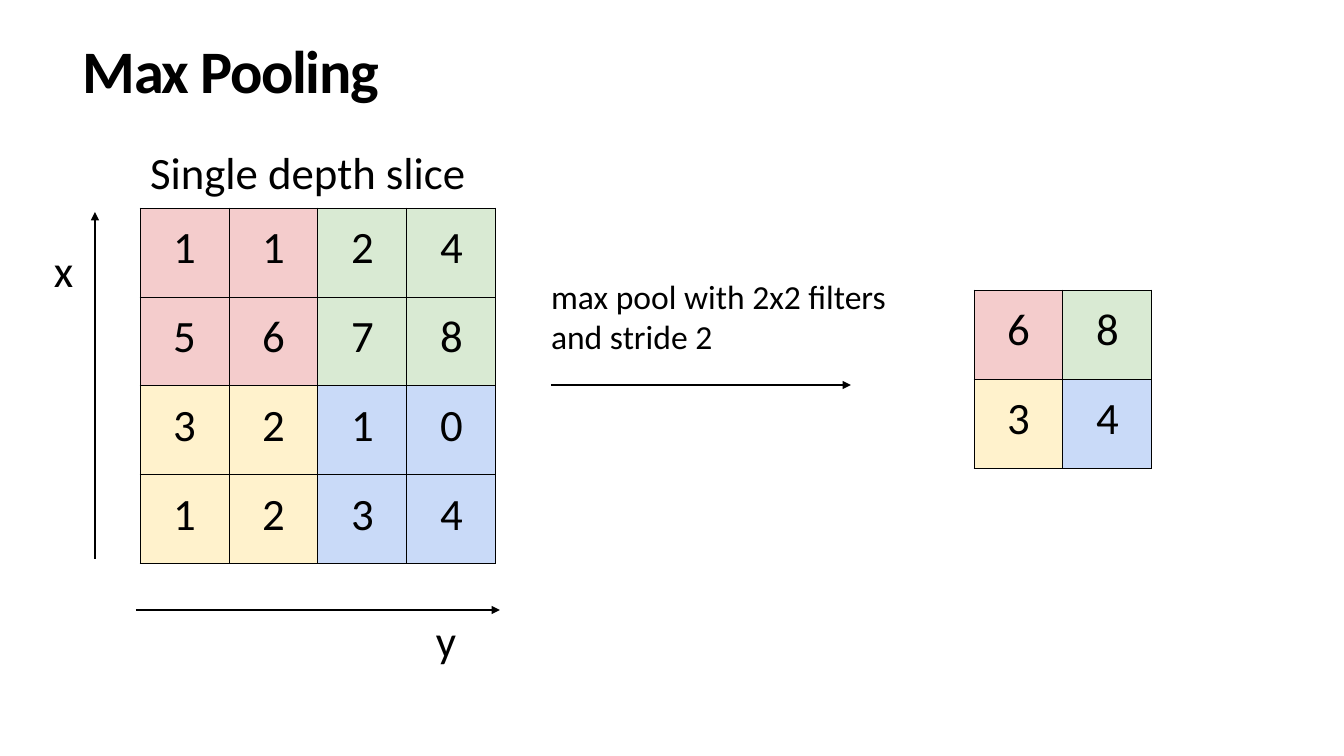
from dataclasses import dataclass

from lxml import etree
from pptx import Presentation, util as u
from pptx.dml.color import RGBColor
from pptx.enum import shapes, text
from pptx.oxml import parse_xml
from pptx.oxml.ns import nsdecls, qn


@dataclass(frozen=True)
class Theme:
    font: str = "Calibri"
    ink: str = "000000"
    quadrants: tuple = (("F4CCCC", "D9EAD3"), ("FFF2CC", "C9DAF8"))
    title_size: float = 43.1
    body_size: int = 32
    note_size: int = 24
    arrow_width: float = 1.5
    border_width: float = 0.75
    inset: int = 13
    cell: int = 89


def px(count):
    return u.Emu(round(count * 914400 / 100.8))


class PoolingSlide:
    def __init__(self, deck, theme):
        self.theme = theme
        self.slide = deck.slides.add_slide(deck.slide_layouts[6])

    def add_words(self, paragraph, words, size, bold=False):
        run = paragraph.add_run()
        run.text = words
        run.font.name = self.theme.font
        run.font.size = u.Pt(size)
        run.font.bold = bold
        run.font.color.rgb = RGBColor.from_string(self.theme.ink)
        return run

    def text_box(self, left, top, width, height):
        frame = self.slide.shapes.add_textbox(*map(px, (left, top, width, height))).text_frame
        frame.word_wrap = True
        return frame

    def title(self, words, left, top, width, height):
        heading = self.text_box(left, top, width, height).paragraphs[0]
        heading.line_spacing = 0.9
        run = self.add_words(heading, words, self.theme.title_size, bold=True)
        run._r.get_or_add_rPr().set("spc", "-100")

    def pad(self, holder):
        """Give a text frame or a table cell the same inset on all sides."""
        inset = px(self.theme.inset)
        holder.margin_left = holder.margin_right = inset
        holder.margin_top = holder.margin_bottom = inset

    def label(self, words, left, top, width, height, size=None):
        frame = self.text_box(left, top, width, height)
        self.pad(frame)
        self.add_words(frame.paragraphs[0], words, size or self.theme.body_size)

    def arrow(self, x1, y1, x2, y2):
        shaft = self.slide.shapes.add_connector(
            shapes.MSO_CONNECTOR.STRAIGHT, *map(px, (x1, y1, x2, y2)))
        shaft.line.color.rgb = RGBColor.from_string(self.theme.ink)
        shaft.line.width = u.Pt(self.theme.arrow_width)
        properties = shaft._element.spPr
        etree.SubElement(properties.find(qn("a:ln")), qn("a:tailEnd"), type="triangle")
        etree.SubElement(properties, qn("a:effectLst"))

    def border(self, cell):
        for side in ("lnL", "lnR", "lnT", "lnB"):
            cell._tc.get_or_add_tcPr().append(parse_xml(
                f'<a:{side} {nsdecls("a")} w="{int(u.Pt(self.theme.border_width))}">'
                f'<a:solidFill><a:srgbClr val="{self.theme.ink}"/></a:solidFill></a:{side}>'))

    def matrix(self, values, left, top):
        """Draw a square matrix whose four quadrants have their own colours."""
        count = len(values)
        side = px(count * self.theme.cell)
        grid = self.slide.shapes.add_table(count, count, px(left), px(top), side, side).table
        grid.first_row = grid.horz_banding = False
        for r, row in enumerate(values):
            grid.rows[r].height = grid.columns[r].width = px(self.theme.cell)
            for c, value in enumerate(row):
                cell = grid.cell(r, c)
                self.pad(cell)
                self.border(cell)
                cell.fill.solid()
                colour = self.theme.quadrants[2 * r // count][2 * c // count]
                cell.fill.fore_color.rgb = RGBColor.from_string(colour)
                paragraph = cell.text_frame.paragraphs[0]
                paragraph.alignment = text.PP_ALIGN.CENTER
                self.add_words(paragraph, str(value), self.theme.body_size)


def max_pool(values, stride=2):
    steps = range(0, len(values), stride)
    return [[max(max(row[c:c + stride]) for row in values[r:r + stride])
             for c in steps] for r in steps]


def main():
    deck = Presentation()
    deck.slide_width, deck.slide_height = px(1344), px(756)
    theme = Theme()
    page = PoolingSlide(deck, theme)
    depth_slice = [[1, 1, 2, 4], [5, 6, 7, 8], [3, 2, 1, 0], [1, 2, 3, 4]]

    page.title("Max Pooling", 73, 36, 1260, 99)
    page.matrix(depth_slice, 140, 208)
    page.label("Single depth slice", 137, 132, 385, 83)
    page.arrow(95, 559, 95, 212)
    page.label("x", 41, 230, 57, 69)
    page.arrow(136, 610, 500, 610)
    page.label("y", 423, 600, 57, 53)
    page.arrow(551, 385, 851, 385)
    page.label("max pool with 2x2 filters and stride 2", 538, 263, 393, 107, theme.note_size)
    page.matrix(max_pool(depth_slice), 974, 290)
    deck.save("out.pptx")


if __name__ == "__main__":
    main()
